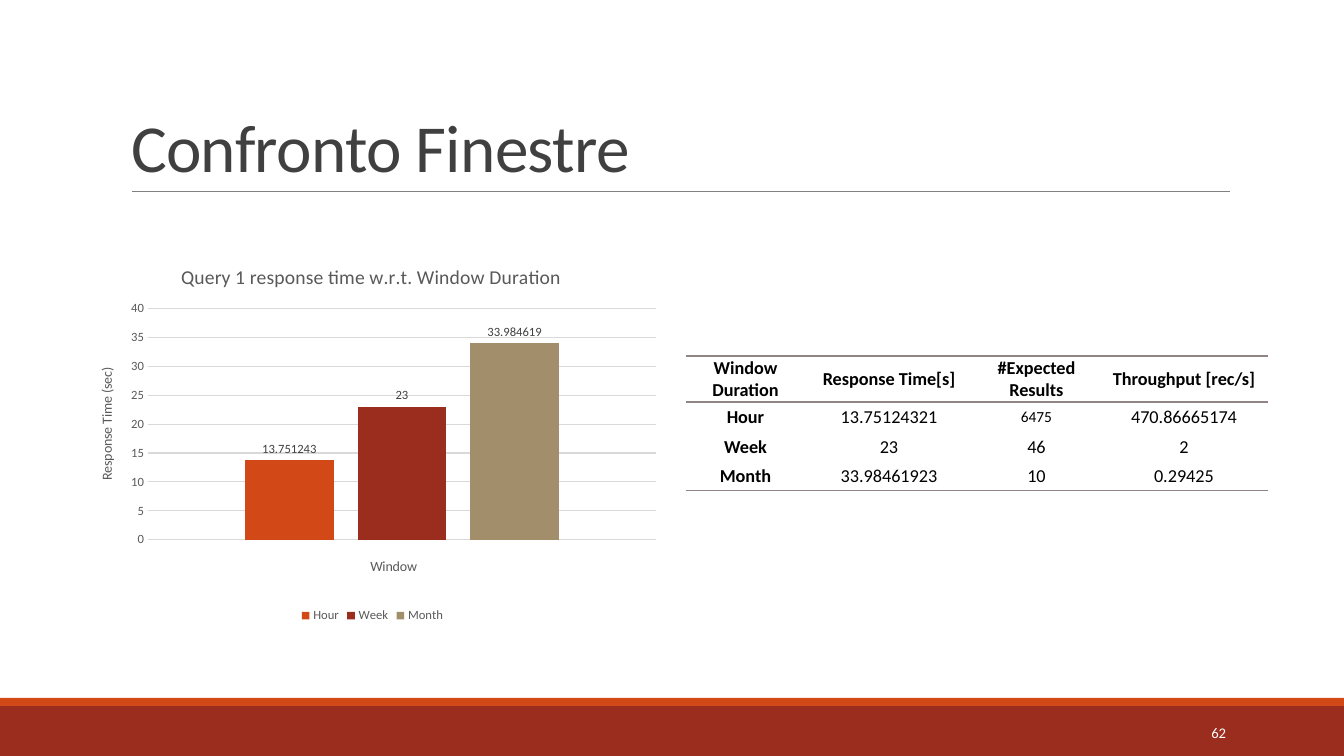
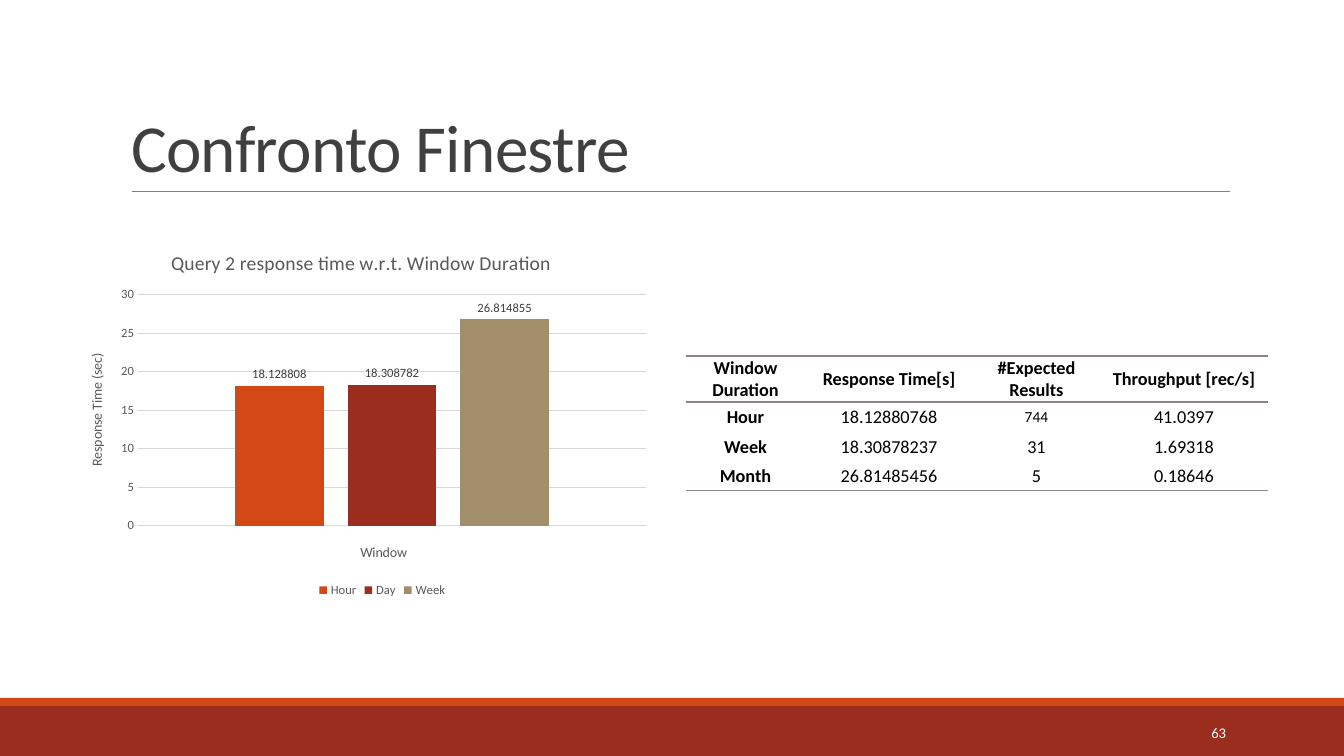
"""Two slides comparing query response times across window durations."""
from lxml import etree
from pptx import Presentation
from pptx.chart.data import CategoryChartData
from pptx.dml.color import RGBColor
from pptx.enum.chart import XL_CHART_TYPE as ChartType
from pptx.enum.chart import XL_LABEL_POSITION as LabelPosition
from pptx.enum.chart import XL_LEGEND_POSITION as LegendPosition
from pptx.enum.chart import XL_TICK_MARK as TickMark
from pptx.enum.shapes import MSO_CONNECTOR as Connector
from pptx.enum.shapes import MSO_SHAPE as Shape
from pptx.enum.text import MSO_ANCHOR as Anchor
from pptx.enum.text import MSO_AUTO_SIZE as AutoSize
from pptx.enum.text import PP_ALIGN as Align
from pptx.oxml.ns import qn
from pptx.oxml.xmlchemy import OxmlElement
from pptx.util import Pt

PX = 12192000 / 1344
FONT = "Calibri"
COLORS = {
    "orange": "D34817", "red": "9B2D1F", "sand": "A28E6A",
    "title": "404040", "axis": "595959", "grid": "D9D9D9",
    "rule": "808080", "border": "918485", "ink": "000000", "white": "FFFFFF",
}
RGB = {name: RGBColor.from_string(value) for name, value in COLORS.items()}
BANDS = [("red", 706, 50), ("orange", 698, 8)]
HEADINGS = ["Window Duration", "Response Time[s]", "#Expected Results", "Throughput [rec/s]"]
COLUMN_WIDTHS = [119, 168, 127, 168]
ROW_HEIGHTS = [46, 30, 29, 30]
RULED_EDGES = {0, 1, 4}
SLIDES = [
    {
        "number": "62", "query": "Query 1", "chart_at": (77, 248), "legend_at": None,
        "axis_max": 40,
        "bars": [("Hour", 13.751243), ("Week", 23), ("Month", 33.984619)],
        "rows": [["Hour", "13.75124321", "6475", "470.86665174"],
                 ["Week", "23", "46", "2"],
                 ["Month", "33.98461923", "10", "0.29425"]],
    },
    {
        "number": "63", "query": "Query 2", "chart_at": (67, 234), "legend_at": (0.42, 0.91),
        "axis_max": 30,
        "bars": [("Hour", 18.128808), ("Day", 18.308782), ("Week", 26.814855)],
        "rows": [["Hour", "18.12880768", "744", "41.0397"],
                 ["Week", "18.30878237", "31", "1.69318"],
                 ["Month", "26.81485456", "5", "0.18646"]],
    },
]


def set_font(font, size, color, bold=False):
    values = {"name": FONT, "size": Pt(size), "bold": bold}
    for name, value in values.items():
        setattr(font, name, value)
    font.color.rgb = RGB[color]


def set_layout(element, fractions, inner=False):
    for old in element.findall(qn("c:layout")):
        element.remove(old)
    layout = OxmlElement("c:layout")
    manual = etree.SubElement(layout, qn("c:manualLayout"))
    settings = [("layoutTarget", "inner")] if inner else []
    settings += [("xMode", "edge"), ("yMode", "edge")]
    settings += list(zip("xywh", fractions))
    for name, value in settings:
        etree.SubElement(manual, qn("c:" + name)).set("val", str(value))
    overlay = element.find(qn("c:overlay"))
    if overlay is None:
        element.insert(0, layout)
    else:
        overlay.addprevious(layout)


deck = Presentation()
deck.slide_width, deck.slide_height = round(1344 * PX), round(756 * PX)

for content in SLIDES:
    page = deck.slides.add_slide(deck.slide_layouts[5])

    for color, top, height in BANDS:
        band = page.shapes.add_shape(
            Shape.RECTANGLE, 0, round(top * PX), deck.slide_width, round(height * PX))
        band.shadow.inherit = False
        band.fill.solid()
        band.fill.fore_color.rgb = RGB[color]
        band.line.fill.background()

    rule = page.shapes.add_connector(
        Connector.STRAIGHT, *[round(n * PX) for n in (132, 191, 1230, 191)])
    rule.line.color.rgb = RGB["rule"]
    rule.line.width = Pt(0.5)
    etree.SubElement(rule._element.spPr, qn("a:effectLst"))

    title = page.shapes.title
    for name, value in {"left": 121, "top": 31, "width": 1109, "height": 160}.items():
        setattr(title, name, round(value * PX))
    frame = title.text_frame
    for name, value in {"text": "Confronto Finestre", "vertical_anchor": Anchor.BOTTOM,
                        "word_wrap": True, "auto_size": AutoSize.NONE}.items():
        setattr(frame, name, value)
    para = frame.paragraphs[0]
    para.alignment, para.line_spacing = Align.LEFT, 0.85
    span = para.runs[0]
    set_font(span.font, 48, "title")
    span.font._element.set("spc", "-50")

    box = page.shapes.add_textbox(*[round(n * PX) for n in (1092, 713, 144, 40)])
    frame = box.text_frame
    for name, value in {"text": content["number"], "vertical_anchor": Anchor.MIDDLE,
                        "word_wrap": True}.items():
        setattr(frame, name, value)
    frame.paragraphs[0].alignment = Align.RIGHT
    set_font(frame.paragraphs[0].runs[0].font, 10.5, "white")

    rows = [HEADINGS] + content["rows"]
    table = page.shapes.add_table(
        len(rows), len(HEADINGS), round(686 * PX), round(356 * PX),
        round(sum(COLUMN_WIDTHS) * PX), round(sum(ROW_HEIGHTS) * PX)).table
    table.first_row = table.horz_banding = False
    for column, width in zip(table.columns, COLUMN_WIDTHS):
        column.width = round(width * PX)
    for row, height in zip(table.rows, ROW_HEIGHTS):
        row.height = round(height * PX)
    for r, texts in enumerate(rows):
        for c, text in enumerate(texts):
            cell = table.cell(r, c)
            for name, value in {"text": text, "vertical_anchor": Anchor.MIDDLE,
                                "margin_left": round(PX), "margin_right": round(PX),
                                "margin_top": round(PX), "margin_bottom": 0}.items():
                setattr(cell, name, value)
            para = cell.text_frame.paragraphs[0]
            para.alignment = Align.CENTER
            size = 11 if (r, c) == (1, 2) else 13
            set_font(para.runs[0].font, size, "ink", bold=r == 0 or c == 0)
            properties = cell._tc.get_or_add_tcPr()
            for side, edge in [("L", None), ("R", None), ("T", r), ("B", r + 1)]:
                line = etree.SubElement(properties, qn("a:ln" + side), w=str(Pt(1)))
                if edge in RULED_EDGES:
                    fill = etree.SubElement(line, qn("a:solidFill"))
                    etree.SubElement(fill, qn("a:srgbClr"), val=COLORS["border"])
                else:
                    etree.SubElement(line, qn("a:noFill"))
            cell.fill.background()

    data = CategoryChartData()
    data.categories = ["1"]
    for name, value in content["bars"]:
        data.add_series(name, [value])
    left, top = content["chart_at"]
    chart = page.shapes.add_chart(
        ChartType.COLUMN_CLUSTERED,
        *[round(n * PX) for n in (left, top, 591, 379)], data).chart
    set_font(chart.font, 10, "ink")
    set_layout(chart._chartSpace.chart.plotArea, (0.12, 0.16, 0.86, 0.61), inner=True)

    values, categories = chart.value_axis, chart.category_axis
    for heading, text, size in [
        (chart.chart_title, content["query"] + " response time w.r.t. Window Duration", 14),
        (values.axis_title, "Response Time (sec)", 10),
        (categories.axis_title, "Window", 10),
    ]:
        heading.text_frame.text = text
        set_font(heading.text_frame.paragraphs[0].runs[0].font, size, "axis")
    set_layout(chart.chart_title._element, (0.17, 0.03))
    values.axis_title.text_frame._txBody.bodyPr.set("rot", "-5400000")

    categories.visible = False
    for name, value in {"minimum_scale": 0, "maximum_scale": content["axis_max"],
                        "major_unit": 5, "major_tick_mark": TickMark.NONE,
                        "minor_tick_mark": TickMark.NONE}.items():
        setattr(values, name, value)
    values.format.line.fill.background()
    set_font(values.tick_labels.font, 9, "axis")
    grid = values.major_gridlines.format.line
    grid.color.rgb = RGB["grid"]
    grid.width = Pt(0.75)

    chart.has_legend = True
    legend = chart.legend
    legend.position, legend.include_in_layout = LegendPosition.BOTTOM, False
    set_font(legend.font, 9, "axis")
    if content["legend_at"]:
        set_layout(legend._element, content["legend_at"])

    plot = chart.plots[0]
    plot.gap_width, plot.overlap, plot.vary_by_categories = 219, -27, False
    for series, color in zip(plot.series, ("orange", "red", "sand")):
        series.format.fill.solid()
        series.format.fill.fore_color.rgb = RGB[color]
        labels = series.data_labels
        labels.show_value, labels.position = True, LabelPosition.OUTSIDE_END
        set_font(labels.font, 9, "title")

deck.save("out.pptx")
